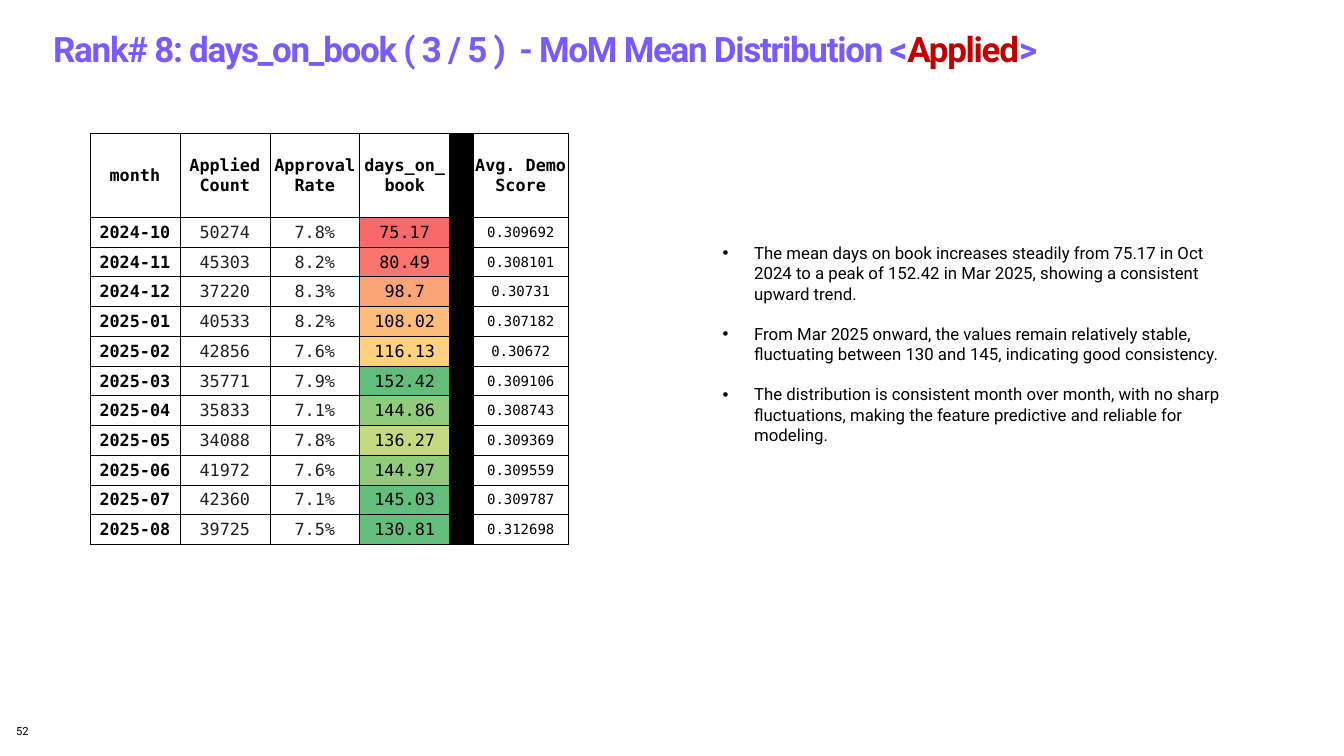
from lxml import etree
from pptx import Presentation
from pptx.dml.color import RGBColor
from pptx.enum.text import MSO_ANCHOR, MSO_AUTO_SIZE, PP_ALIGN
from pptx.oxml.ns import qn
from pptx.util import Pt

LEFT, CENTER = PP_ALIGN.LEFT, PP_ALIGN.CENTER
TOP, MIDDLE = MSO_ANCHOR.TOP, MSO_ANCHOR.MIDDLE
GROW = MSO_AUTO_SIZE.SHAPE_TO_FIT_TEXT
SANS, MONO = "Roboto", "DejaVu Sans Mono"
BLACK, WHITE, CHARCOAL = "000000", "FFFFFF", "202124"
PURPLE, RED = "785AFF", "C00000"

TITLE_RUNS = [
    ("Rank# 8: days_on_book ( 3 / 5 )  - MoM Mean Distribution <", PURPLE),
    ("Applied", RED),
    (">", PURPLE),
]
FINDINGS = [
    "The mean days on book increases steadily from 75.17 in Oct 2024 to a peak of "
    "152.42 in Mar 2025, showing a consistent upward trend.",
    "From Mar 2025 onward, the values remain relatively stable, fluctuating between "
    "130 and 145, indicating good consistency.",
    "The distribution is consistent month over month, with no sharp fluctuations, "
    "making the feature predictive and reliable for modeling.",
]
HEADERS = ["month", "Applied Count", "Approval Rate", "days_on_book", "", "Avg. Demo Score"]
MONTHS = [
    ("2024-10", "50274", "7.8%", "75.17", "0.309692", "F8696B"),
    ("2024-11", "45303", "8.2%", "80.49", "0.308101", "F8766D"),
    ("2024-12", "37220", "8.3%", "98.7", "0.30731", "FBA476"),
    ("2025-01", "40533", "8.2%", "108.02", "0.307182", "FCBC7B"),
    ("2025-02", "42856", "7.6%", "116.13", "0.30672", "FDD17F"),
    ("2025-03", "35771", "7.9%", "152.42", "0.309106", "63BE7B"),
    ("2025-04", "35833", "7.1%", "144.86", "0.308743", "90CB7E"),
    ("2025-05", "34088", "7.8%", "136.27", "0.309369", "C4DA81"),
    ("2025-06", "41972", "7.6%", "144.97", "0.309559", "90CB7E"),
    ("2025-07", "42360", "7.1%", "145.03", "0.309787", "64BF7C"),
    ("2025-08", "39725", "7.5%", "130.81", "0.312698", "64BF7C"),
]
COLUMN_WIDTHS = [64.25, 64.25, 64.25, 64.25, 17, 67.5]
HEADER_HEIGHT, MONTH_HEIGHT = 60, 21.25
DAYS_COLUMN, DIVIDER_COLUMN, SCORE_COLUMN = 3, 4, 5


def rgb(color):
    """Turn a hex string into a colour."""
    return RGBColor.from_string(color)


def format_run(run, size, color, name=SANS, bold=False):
    """Set the font of one run."""
    run.font.size = Pt(size)
    run.font.name = name
    run.font.bold = bold
    run.font.color.rgb = rgb(color)


def place(shape, box):
    """Move a shape to a left, top, width, height box."""
    shape.left, shape.top, shape.width, shape.height = (Pt(length) for length in box)


def set_margins(target, left, top, right, bottom):
    """Set the inner margins of a cell or a text frame."""
    target.margin_left, target.margin_top = Pt(left), Pt(top)
    target.margin_right, target.margin_bottom = Pt(right), Pt(bottom)


def add_title(slide, box):
    """Fill the title placeholder with its coloured runs."""
    title = slide.shapes.title
    place(title, box)
    title.fill.solid()
    title.fill.fore_color.rgb = rgb(WHITE)
    frame = title.text_frame
    frame.word_wrap = True
    frame.auto_size = GROW
    frame.vertical_anchor = MIDDLE
    set_margins(frame, 0, 0, 0, 0)
    paragraph = frame.paragraphs[0]
    paragraph.alignment = LEFT
    paragraph.line_spacing = 1.5
    for text, color in TITLE_RUNS:
        run = paragraph.add_run()
        run.text = text
        format_run(run, 25, color, bold=True)
        run.font._element.set("spc", "-90")


def add_findings(slide, box):
    """Fill the body placeholder with the bulleted findings."""
    body = slide.placeholders[1]
    place(body, box)
    frame = body.text_frame
    frame.text = "\n".join(FINDINGS)
    frame.word_wrap = True
    frame.auto_size = GROW
    frame.vertical_anchor = TOP
    set_margins(frame, 7.2, 3.6, 7.2, 3.6)
    for index, paragraph in enumerate(frame.paragraphs):
        paragraph.alignment = LEFT
        paragraph.space_before = Pt(14.4 if index else 0)
        properties = paragraph._p.get_or_add_pPr()
        properties.set("marL", str(Pt(22.5)))
        properties.set("indent", str(-Pt(22.5)))
        etree.SubElement(properties, qn("a:buFont"), typeface="Arial")
        etree.SubElement(properties, qn("a:buChar"), char="•")
        format_run(paragraph.runs[0], 12, BLACK)


def add_borders(cell):
    """Draw thin black lines on the four sides of a cell."""
    properties = cell._tc.get_or_add_tcPr()
    for position, side in enumerate(("a:lnL", "a:lnR", "a:lnT", "a:lnB")):
        line = etree.Element(qn(side), w=str(Pt(0.5)))
        fill = etree.SubElement(line, qn("a:solidFill"))
        etree.SubElement(fill, qn("a:srgbClr"), val=BLACK)
        properties.insert(position, line)


def fill_cell(cell, text, fill, size, color, bold):
    """Write and format one table cell."""
    cell.fill.solid()
    cell.fill.fore_color.rgb = rgb(fill)
    cell.vertical_anchor = MIDDLE
    set_margins(cell, 0.7, 0.7, 0.7, 0)
    add_borders(cell)
    paragraph = cell.text_frame.paragraphs[0]
    paragraph.alignment = CENTER
    if text:
        paragraph.text = text
        format_run(paragraph.runs[0], size, color, MONO, bold)
    else:
        paragraph._p.get_or_add_endParaRPr().set("sz", "1000")


def add_month_table(slide, left, top):
    """Add the month table with its heat-coloured days column."""
    height = HEADER_HEIGHT + MONTH_HEIGHT * len(MONTHS)
    table = slide.shapes.add_table(
        len(MONTHS) + 1, len(HEADERS),
        Pt(left), Pt(top), Pt(sum(COLUMN_WIDTHS)), Pt(height),
    ).table
    table.first_row = table.horz_banding = False
    for column, width in zip(table.columns, COLUMN_WIDTHS):
        column.width = Pt(width)
    for index, row in enumerate(table.rows):
        row.height = Pt(MONTH_HEIGHT if index else HEADER_HEIGHT)
    for column, header in enumerate(HEADERS):
        fill = BLACK if column == DIVIDER_COLUMN else WHITE
        fill_cell(table.cell(0, column), header, fill, 12, BLACK, True)
    for row, (month, count, rate, days, score, heat) in enumerate(MONTHS, 1):
        fills = {DAYS_COLUMN: heat, DIVIDER_COLUMN: BLACK}
        for column, text in enumerate((month, count, rate, days, "", score)):
            size = 10 if column == SCORE_COLUMN else 12
            color = CHARCOAL if column in (1, 2) else BLACK
            fill = fills.get(column, WHITE)
            fill_cell(table.cell(row, column), text, fill, size, color, column == 0)


def add_page_number(slide, box):
    """Add the page number at the lower left."""
    frame = slide.shapes.add_textbox(*(Pt(length) for length in box)).text_frame
    frame.word_wrap = True
    set_margins(frame, 0, 0, 0, 0)
    frame.text = "52"
    format_run(frame.paragraphs[0].runs[0], 8, BLACK)


def main():
    """Build the slide and save it."""
    presentation = Presentation()
    presentation.slide_width, presentation.slide_height = Pt(960), Pt(540)
    slide = presentation.slides.add_slide(presentation.slide_layouts[1])
    add_title(slide, (38, 6.5, 884, 41))
    add_page_number(slide, (11.5, 517.5, 210, 18))
    add_findings(slide, (509, 170, 375, 138))
    add_month_table(slide, 64.25, 95.25)
    presentation.save("out.pptx")


if __name__ == "__main__":
    main()
